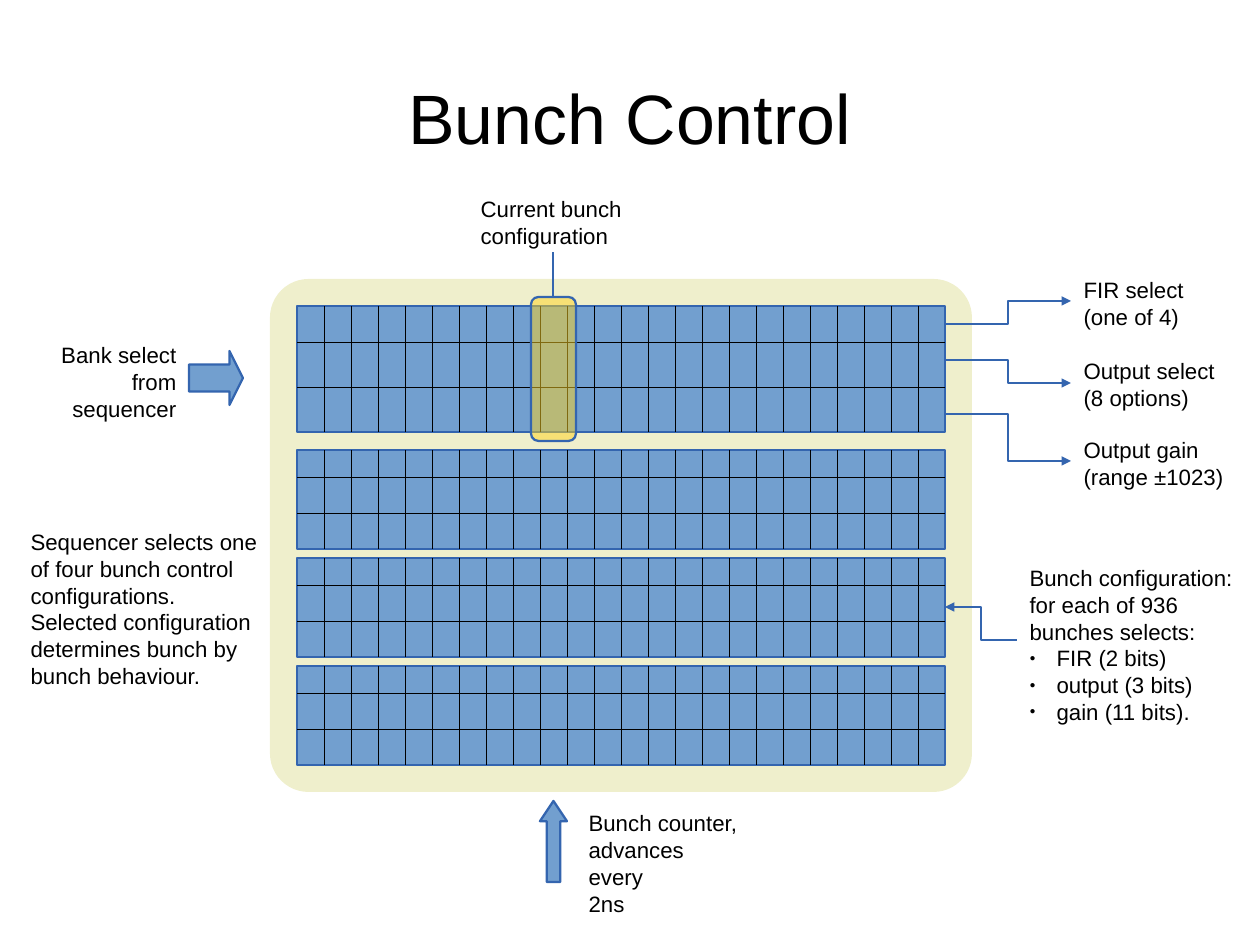
"""Build the Bunch Control slide: four banks of bunch configurations and their signals."""
from lxml import etree
from pptx import Presentation
from pptx import util as u
from pptx.dml.color import RGBColor
from pptx.enum import shapes, text
from pptx.oxml import ns

PX = 8000
COLORS = {"text": "000000", "panel": "B3B300", "bank": "729FCF",
          "edge": "3465AF", "grid": "000000", "current": "FFD320"}
BANK_LEFT, BANK_WIDTH, COLUMN = 297, 648, 27


def add_block(parent, kind, box, fill, edge=True, opacity=100, adjust=()):
    sp = parent.shapes.add_shape(kind, *[v * PX for v in box])
    sp.shadow.inherit = False
    for i, value in enumerate(adjust):
        sp.adjustments[i] = value
    sp.fill.solid()
    sp.fill.fore_color.rgb = RGBColor.from_string(COLORS[fill])
    if opacity < 100:
        color = sp._element.spPr.find(ns.qn("a:solidFill"))[0]
        etree.SubElement(color, ns.qn("a:alpha"), val=str(opacity * 1000))
    if edge:
        sp.line.color.rgb = RGBColor.from_string(COLORS["edge"])
        sp.line.width = u.Pt(1.42)
    else:
        sp.line.fill.background()


def add_line(parent, ends, color="edge", width=1.42, arrow=False):
    kind = shapes.MSO_CONNECTOR.ELBOW if arrow else shapes.MSO_CONNECTOR.STRAIGHT
    line = parent.shapes.add_connector(kind, *[v * PX for v in ends])
    line.line.color.rgb = RGBColor.from_string(COLORS[color])
    line.line.width = u.Pt(width)
    if arrow:
        etree.SubElement(line.line._get_or_add_ln(), ns.qn("a:tailEnd"), type="triangle")
    etree.SubElement(line._element.spPr, ns.qn("a:effectLst"))


prs = Presentation()
prs.slide_width, prs.slide_height = 1260 * PX, 945 * PX
s = prs.slides.add_slide(prs.slide_layouts[5])

title = s.shapes.title
title.left, title.top, title.width, title.height = [v * PX for v in (63, 38, 1134, 158)]
tf = title.text_frame
tf.text = "Bunch Control"
tf.margin_left = tf.margin_right = tf.margin_top = tf.margin_bottom = 0
tf.auto_size = text.MSO_AUTO_SIZE.NONE
tf.vertical_anchor = text.MSO_ANCHOR.MIDDLE
p = tf.paragraphs[0]
p.alignment = text.PP_ALIGN.CENTER
r = p.runs[0]
r.font.name, r.font.size = "Arial", u.Pt(44)
r.font.color.rgb = RGBColor.from_string(COLORS["text"])

add_block(s, shapes.MSO_SHAPE.ROUNDED_RECTANGLE, (270, 279, 702, 513), "panel",
          edge=False, opacity=20, adjust=(0.075,))

banks = [(306, 126, (36, 81))] + [(450 + 108 * i, 99, (27, 63)) for i in range(3)]
for top, height, rows in banks:
    bank = s.shapes.add_group_shape()
    add_block(bank, shapes.MSO_SHAPE.RECTANGLE, (BANK_LEFT, top, BANK_WIDTH, height), "bank")
    for x in range(BANK_LEFT + COLUMN, BANK_LEFT + BANK_WIDTH, COLUMN):
        add_line(bank, (x, top, x, top + height), "grid", 0.28)
    for row in rows:
        y = top + row
        add_line(bank, (BANK_LEFT, y, BANK_LEFT + BANK_WIDTH, y), "grid", 0.28)

add_block(s, shapes.MSO_SHAPE.RIGHT_ARROW, (189, 351, 54, 54), "bank", adjust=(0.5, 0.25))
add_block(s, shapes.MSO_SHAPE.UP_ARROW, (540, 801, 27, 81), "bank", adjust=(0.5, 0.75))
add_block(s, shapes.MSO_SHAPE.ROUNDED_RECTANGLE, (531, 297, 45, 144), "current",
          opacity=50, adjust=(0.167,))
add_line(s, (553, 297, 553, 252))
for ends in [(945, 324, 1071, 301), (945, 360, 1071, 383),
             (945, 414, 1071, 461), (1017, 640, 945, 607)]:
    add_line(s, ends, arrow=True)

labels = [
    ((36, 335, 153, 88), "Bank select\nfrom\nsequencer"),
    ((1071, 270, 153, 64), "FIR select\n(one of 4)"),
    ((1071, 351, 162, 64), "Output select\n(8 options)"),
    ((1071, 430, 171, 64), "Output gain\n(range ±1023)"),
    ((576, 803, 180, 113), "Bunch counter,\nadvances every\n2ns"),
    ((468, 189, 171, 64), "Current bunch configuration"),
    ((18, 522, 252, 288), "Sequencer selects one of four bunch control configurations. "
                          "Selected configuration determines bunch by bunch behaviour."),
    ((1017, 558, 243, 163), "Bunch configuration:\nfor each of 936 bunches selects:\n"
                            "FIR (2 bits)\noutput (3 bits)\ngain (11 bits)."),
]
for box, wording in labels:
    tf = s.shapes.add_textbox(*[v * PX for v in box]).text_frame
    tf.word_wrap = True
    tf.margin_left = tf.margin_right = u.Cm(0.28)
    tf.margin_top = tf.margin_bottom = u.Cm(0.15)
    tf.text = wording
    for p in tf.paragraphs:
        if wording.startswith("Bank"):
            p.alignment = text.PP_ALIGN.RIGHT
        if p.text.endswith(("bits)", "bits).")):
            pPr = p._p.get_or_add_pPr()
            pPr.set("marL", str(27 * PX))
            pPr.set("indent", str(-27 * PX))
            etree.SubElement(pPr, ns.qn("a:buSzPct"), val="45000")
            etree.SubElement(pPr, ns.qn("a:buFont"), typeface="Arial")
            etree.SubElement(pPr, ns.qn("a:buChar"), char="●")
        r = p.runs[0]
        r.font.name, r.font.size = "Arial", u.Pt(14)
        r.font.color.rgb = RGBColor.from_string(COLORS["text"])

prs.save("out.pptx")
